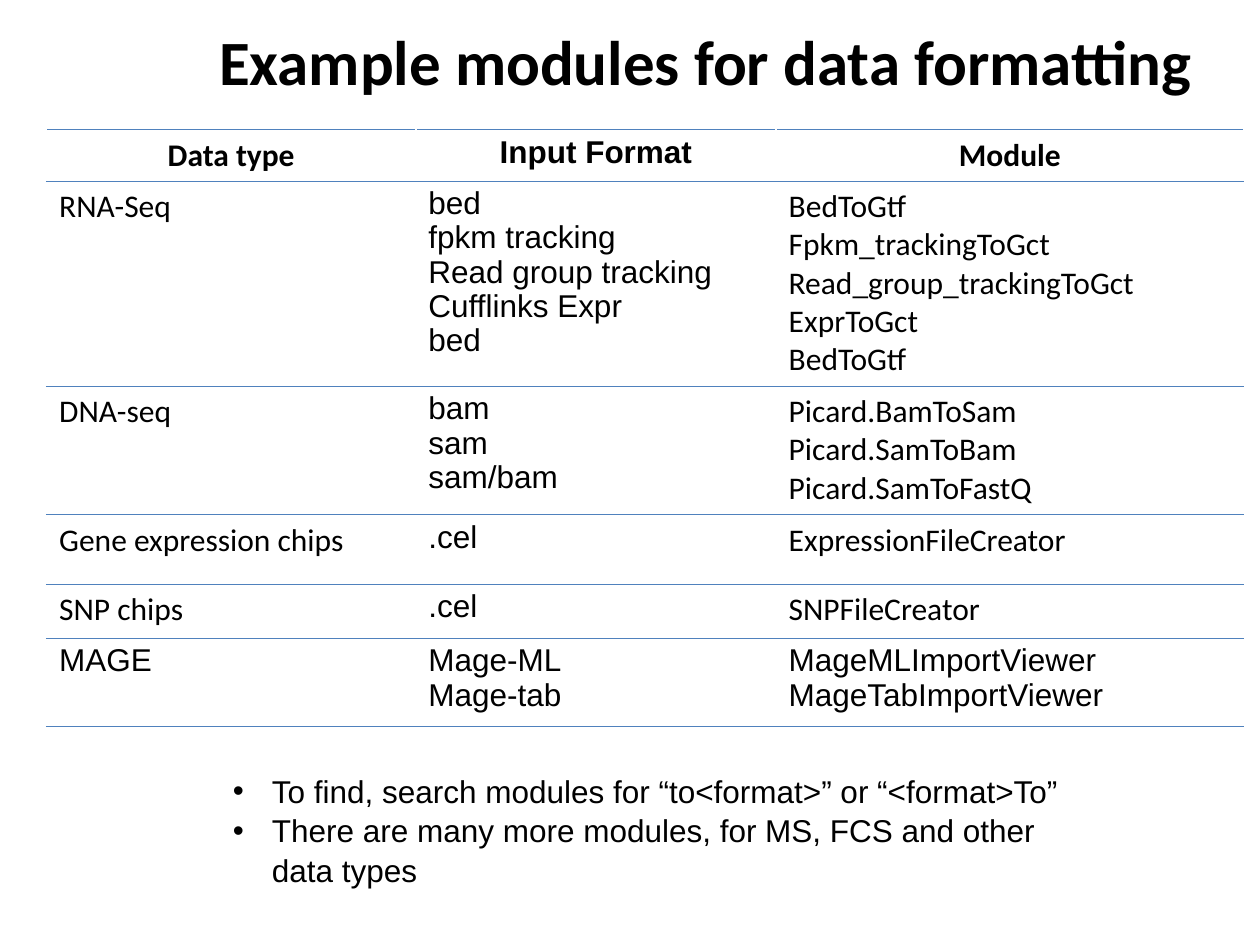
"""Build a slide listing example modules for data formatting."""
from dataclasses import dataclass

from lxml.etree import SubElement
from pptx import Presentation
from pptx.dml.color import RGBColor
from pptx.enum.text import MSO_ANCHOR as Anchor, MSO_AUTO_SIZE as AutoSize, PP_ALIGN as Align
from pptx.oxml import parse_xml
from pptx.oxml.ns import nsdecls, qn
from pptx.util import Inches, Pt


@dataclass(frozen=True)
class Theme:
    heading: str = "Calibri"
    body: str = "Arial"
    ink: str = "000000"
    paper: str = "FFFFFF"
    rule: str = "4F81BD"
    title_size: int = 36
    text_size: int = 18
    rule_width: float = 0.45


THEME = Theme()
TITLE = "Example modules for data formatting"
HEADER = (["Data type"], ["Input Format"], ["Module"])
ROWS = [
    (["RNA-Seq"],
     ["bed", "fpkm tracking", "Read group tracking", "Cufflinks Expr", "bed"],
     ["BedToGtf", "Fpkm_trackingToGct", "Read_group_trackingToGct", "ExprToGct", "BedToGtf"]),
    (["DNA-seq"],
     ["bam", "sam", "sam/bam"],
     ["Picard.BamToSam", "Picard.SamToBam", "Picard.SamToFastQ"]),
    (["Gene expression chips"], [".cel"], ["ExpressionFileCreator"]),
    (["SNP chips"], [".cel"], ["SNPFileCreator"]),
    (["MAGE"], ["Mage-ML", "Mage-tab"], ["MageMLImportViewer", "MageTabImportViewer"]),
]
NOTES = [
    "To find, search modules for “to<format>” or “<format>To”",
    "There are many more modules, for MS, FCS and other data types",
]
COLUMN_WIDTHS = (2.93, 2.86, 3.71)
ROW_HEIGHTS = (0.4, 1.63, 1.02, 0.55, 0.43, 0.7)
TITLE_BOX = (0.6, 0.12, 10, 0.72)
TABLE_ORIGIN = (0.37, 1.03)
NOTES_BOX = (1.75, 6.06, 7, 1)
INDENT = 0.31


def inches(values):
    return [Inches(value) for value in values]


def write(frame, lines, font=THEME.body, size=THEME.text_size, bold=False,
          align=Align.LEFT, spacing=1.0, bullet=None):
    for index, line in enumerate(lines):
        para = frame.paragraphs[0] if index == 0 else frame.add_paragraph()
        para.alignment = align
        para.line_spacing = spacing
        if bullet:
            props = para._p.get_or_add_pPr()
            props.set("marL", str(Inches(INDENT)))
            props.set("indent", str(-Inches(INDENT)))
            color = SubElement(props, qn("a:buClr"))
            SubElement(color, qn("a:srgbClr"), val=THEME.ink)
            SubElement(props, qn("a:buFont"), typeface=THEME.body)
            SubElement(props, qn("a:buChar"), char=bullet)
        span = para.add_run()
        span.text = line
        span.font.name, span.font.size, span.font.bold = font, Pt(size), bold
        span.font.color.rgb = RGBColor.from_string(THEME.ink)


def rule_cell(cell):
    props = cell._tc.get_or_add_tcPr()
    for index, side in enumerate(("lnT", "lnB")):
        props.insert(index, parse_xml(
            f'<a:{side} {nsdecls("a")} w="{Pt(THEME.rule_width)}"><a:solidFill>'
            f'<a:srgbClr val="{THEME.rule}"/></a:solidFill></a:{side}>'))


def add_title(page):
    title = page.shapes.title
    title.left, title.top, title.width, title.height = inches(TITLE_BOX)
    frame = title.text_frame
    frame.auto_size = AutoSize.NONE
    frame.vertical_anchor = Anchor.MIDDLE
    write(frame, [TITLE], THEME.heading, THEME.title_size, bold=True, align=Align.CENTER)


def add_modules(page):
    extent = (sum(COLUMN_WIDTHS), sum(ROW_HEIGHTS))
    table = page.shapes.add_table(len(ROW_HEIGHTS), len(COLUMN_WIDTHS),
                                  *inches(TABLE_ORIGIN + extent)).table
    table.first_row = table.horz_banding = False
    for column, width in zip(table.columns, inches(COLUMN_WIDTHS)):
        column.width = width
    for row, height in zip(table.rows, inches(ROW_HEIGHTS)):
        row.height = height
    for row_index, row in enumerate([HEADER] + ROWS):
        is_header, is_last = row_index == 0, row_index == len(ROWS)
        for column_index, lines in enumerate(row):
            cell = table.cell(row_index, column_index)
            if column_index < len(row) - 1:
                cell.fill.solid()
                cell.fill.fore_color.rgb = RGBColor.from_string(THEME.paper)
            else:
                cell.fill.background()
            rule_cell(cell)
            plain = column_index == 1 or is_last
            write(cell.text_frame, lines, THEME.body if plain else THEME.heading,
                  bold=is_header, align=Align.CENTER if is_header else Align.LEFT,
                  spacing=0.97 if plain else 1.0)


def add_notes(page):
    frame = page.shapes.add_textbox(*inches(NOTES_BOX)).text_frame
    frame.word_wrap = True
    frame.auto_size = AutoSize.SHAPE_TO_FIT_TEXT
    write(frame, NOTES, spacing=1.05, bullet="•")


def main():
    deck = Presentation()
    deck.slide_width, deck.slide_height = inches((10, 7.5))
    page = deck.slides.add_slide(deck.slide_layouts[5])
    add_title(page)
    add_modules(page)
    add_notes(page)
    deck.save("out.pptx")


if __name__ == "__main__":
    main()
